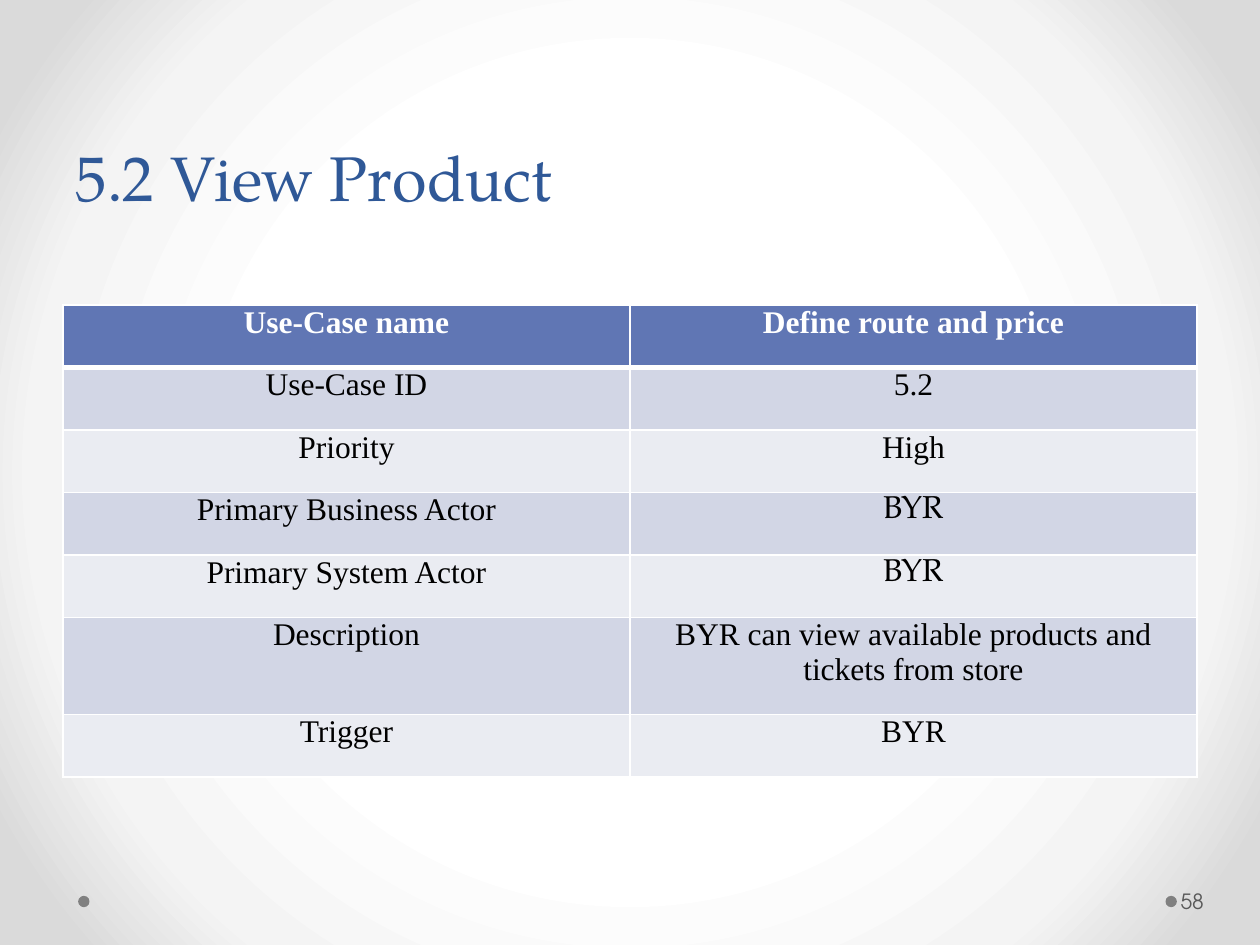
from lxml import etree
from pptx import Presentation
from pptx.dml.color import RGBColor
from pptx.enum.shapes import MSO_SHAPE
from pptx.enum.text import MSO_ANCHOR, PP_ALIGN
from pptx.oxml import parse_xml
from pptx.oxml.ns import nsdecls, qn
from pptx.util import Inches, Pt

LEFT, CENTER = PP_ALIGN.LEFT, PP_ALIGN.CENTER
BOTTOM, MIDDLE, TOP = MSO_ANCHOR.BOTTOM, MSO_ANCHOR.MIDDLE, MSO_ANCHOR.TOP
OVAL = MSO_SHAPE.OVAL
TITLE_ONLY = 5

THEME = {
    "title": "2F5897", "header": "6076B4", "bands": ("D2D6E5", "EAECF2"),
    "white": "FFFFFF", "black": "000000", "dot": "808080", "number": "595959",
    "backdrop": ((50, "FFFFFF"), (76, "F4F4F4"), (92, "DADADA")),
    "serif": "Times New Roman", "display": "TeX Gyre Pagella", "sans": "TeX Gyre Adventor",
    "title_size": 36, "cell_size": 18, "number_size": 12,
}


def style_text(para, font_name, size, color, bold=False):
    for span in para.runs:
        span.font.name = font_name
        span.font.size = Pt(size)
        span.font.bold = bold
        span.font.color.rgb = RGBColor.from_string(color)


def add_border(cell, side, width):
    line = etree.SubElement(cell._tc.get_or_add_tcPr(), qn(f"a:ln{side}"), w=str(Pt(width)))
    fill = etree.SubElement(line, qn("a:solidFill"))
    etree.SubElement(fill, qn("a:srgbClr"), val=THEME["white"])


deck = Presentation()
deck.slide_width, deck.slide_height = Inches(10), Inches(7.5)
page = deck.slides.add_slide(deck.slide_layouts[TITLE_ONLY])
margin = Inches(0.5)
content_width = deck.slide_width - 2 * margin

# Radial background
stops = "".join(f'<a:gs pos="{share * 1000}"><a:srgbClr val="{color}"/></a:gs>'
                for share, color in THEME["backdrop"])
page.background.fill.solid()
solid = page.background._cSld.find(f".//{qn('a:solidFill')}")
solid.getparent().replace(solid, parse_xml(
    f'<a:gradFill {nsdecls("a")} rotWithShape="1"><a:gsLst>{stops}</a:gsLst>'
    '<a:path path="circle"><a:fillToRect l="50000" t="50000" r="50000" b="50000"/></a:path>'
    '</a:gradFill>'))

# Footer dots
for left in (9.25, 0.62):
    dot = page.shapes.add_shape(OVAL, Inches(left), Inches(7.11), Inches(0.09), Inches(0.09))
    dot.shadow.inherit = False
    dot.fill.solid()
    dot.fill.fore_color.rgb = RGBColor.from_string(THEME["dot"])
    dot.line.fill.background()

# Title
title = page.shapes.title
title.left, title.top, title.width, title.height = margin, 0, content_width, Inches(1.75)
title.text_frame.text = "5.2 View Product"
title.text_frame.vertical_anchor = BOTTOM
para = title.text_frame.paragraphs[0]
para.alignment = LEFT
para.line_spacing = Pt(58)
style_text(para, THEME["display"], THEME["title_size"], THEME["title"])

# Use-case table: label, value, font of the value
rows = [
    ("Use-Case name", "Define route and price", "serif"),
    ("Use-Case ID", "5.2", "serif"),
    ("Priority", "High", "serif"),
    ("Primary Business Actor", "BYR", "display"),
    ("Primary System Actor", "BYR", "display"),
    ("Description", "BYR can view available products and tickets from store", "serif"),
    ("Trigger", "BYR", "serif"),
]
table_height, tall_height = Inches(3.75), Inches(0.77)
row_height = (table_height - tall_height) // (len(rows) - 1)
table = page.shapes.add_table(len(rows), 2, margin, Inches(2.42),
                              content_width, table_height).table
for row_index, (label, value, value_font) in enumerate(rows):
    is_header = row_index == 0
    table.rows[row_index].height = tall_height if label == "Description" else row_height
    fill_color = THEME["header"] if is_header else THEME["bands"][(row_index - 1) % 2]
    text_color = THEME["white"] if is_header else THEME["black"]
    for column, (text, font_key) in enumerate(((label, "serif"), (value, value_font))):
        cell = table.cell(row_index, column)
        cell.margin_left = cell.margin_right = Inches(0.07)
        cell.margin_top = cell.margin_bottom = 0
        cell.vertical_anchor = TOP
        for side in "LRTB":
            thick = (is_header and side == "B") or (row_index == 1 and side == "T")
            add_border(cell, side, 3 if thick else 1)
        cell.fill.solid()
        cell.fill.fore_color.rgb = RGBColor.from_string(fill_color)
        cell.text_frame.text = text
        para = cell.text_frame.paragraphs[0]
        para.alignment = CENTER
        para.line_spacing = Pt(20)
        style_text(para, THEME[font_key], THEME["cell_size"], text_color, is_header)

# Page number
box = page.shapes.add_textbox(Inches(9.34), Inches(6.95), Inches(0.61), Inches(0.4))
frame = box.text_frame
frame.word_wrap = True
frame.vertical_anchor = MIDDLE
frame.margin_left = Inches(0.03)
frame.margin_right = frame.margin_top = frame.margin_bottom = Inches(0.05)
frame.text = "58"
style_text(frame.paragraphs[0], THEME["sans"], THEME["number_size"], THEME["number"])

deck.save("out.pptx")
